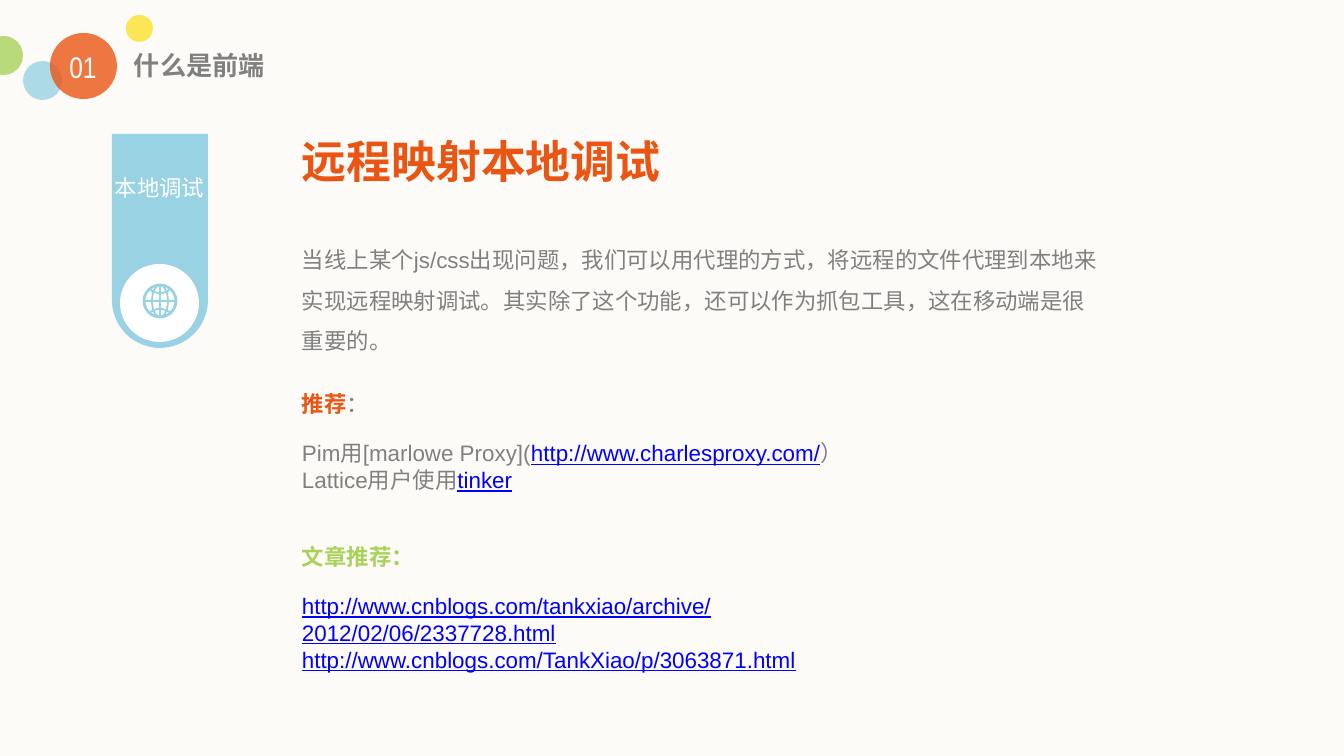
import math

from lxml import etree
from pptx import Presentation
from pptx import util as u
from pptx.dml.color import RGBColor
from pptx.enum import shapes, text
from pptx.oxml.ns import qn

PX = 914400 / 134.4  # EMU in one px
CJK = "Noto Sans CJK SC"
COLORS = {
    "paper": "FCFBF7", "white": "FFFFFF", "grey": "808080", "link": "0000FF",
    "blue": "98D2E3", "orange": "EA5514", "green": "A9D25A", "yellow": "FBE22D",
}


def emu(px):
    return u.Emu(round(px * PX))


def color(name):
    return RGBColor.from_string(COLORS[name])


def arc(cx, cy, radius, start, end, steps=48):
    """Points on a circle, angles in degrees, clockwise from the right."""
    angles = [math.radians(start + (end - start) * i / steps) for i in range(steps + 1)]
    return [(cx + radius * math.cos(a), cy + radius * math.sin(a)) for a in angles]


class SlideBuilder:
    def __init__(self, slide):
        self.slide = slide
        slide.background.fill.solid()
        slide.background.fill.fore_color.rgb = color("paper")

    def paint(self, shape, fill=None, line=None, weight=1, alpha=None):
        shape.shadow.inherit = False
        if fill:
            shape.fill.solid()
            shape.fill.fore_color.rgb = color(fill)
        else:
            shape.fill.background()
        if line:
            shape.line.color.rgb = color(line)
            shape.line.width = u.Pt(weight)
        else:
            shape.line.fill.background()
        if alpha:
            tint = shape._element.spPr.find(qn("a:solidFill"))[0]
            etree.SubElement(tint, qn("a:alpha"), val=str(alpha * 1000))

    def ellipse(self, left, top, width, height, **style):
        oval = self.slide.shapes.add_shape(
            shapes.MSO_SHAPE.OVAL, emu(left), emu(top), emu(width), emu(height))
        self.paint(oval, **style)

    def outline(self, points, close=True, **style):
        points = [(emu(x), emu(y)) for x, y in points]
        builder = self.slide.shapes.build_freeform(*points[0])
        builder.add_line_segments(points[1:], close=close)
        self.paint(builder.convert_to_shape(), **style)

    def line(self, x1, y1, x2, y2, name, weight=1):
        rule = self.slide.shapes.add_connector(
            shapes.MSO_CONNECTOR.STRAIGHT, emu(x1), emu(y1), emu(x2), emu(y2))
        rule.line.color.rgb = color(name)
        rule.line.width = u.Pt(weight)
        etree.SubElement(rule._element.spPr, qn("a:effectLst"))

    def span(self, para, words, size, font, name, bold=False, underline=False):
        span = para.add_run()
        span.text = words
        span.font.name = font
        span.font.size = u.Pt(size)
        span.font.bold = bold
        span.font.underline = underline
        span.font.color.rgb = color(name)
        etree.SubElement(span._r.get_or_add_rPr(), qn("a:ea"), typeface=CJK)

    def fill_box(self, box, paras, insets=(0, 0, 0, 0), align="LEFT", spacing=None,
                 heading_gap=0, wrap=True):
        frame = box.text_frame
        frame.word_wrap = wrap
        frame.auto_size = text.MSO_AUTO_SIZE.SHAPE_TO_FIT_TEXT
        frame.vertical_anchor = text.MSO_ANCHOR.TOP
        (frame.margin_left, frame.margin_top,
         frame.margin_right, frame.margin_bottom) = [emu(inset) for inset in insets]
        for i, spans in enumerate(paras):
            para = frame.add_paragraph() if i else frame.paragraphs[0]
            para.alignment = text.PP_ALIGN[align]
            if spacing:
                para.line_spacing = spacing
            if heading_gap and i == 0:
                para.space_after = u.Pt(heading_gap)
            for span in spans:
                self.span(para, *span)

    def text(self, left, top, width, height, paras, **layout):
        box = self.slide.shapes.add_textbox(emu(left), emu(top), emu(width), emu(height))
        self.fill_box(box, paras, **layout)

    def title(self, left, top, width, height, paras):
        box = self.slide.shapes.title
        box.left, box.top, box.width, box.height = map(emu, (left, top, width, height))
        self.fill_box(box, paras)


def main():
    deck = Presentation()
    deck.slide_width, deck.slide_height = emu(1344), emu(756)
    page = SlideBuilder(deck.slides.add_slide(deck.slide_layouts[5]))

    # Blue banner with a round foot
    page.outline([(112, 134)] + arc(160, 300, 48, 180, 0) + [(208, 134)], fill="blue")
    page.ellipse(120, 264, 79, 78, fill="white")
    page.text(101, 167, 117, 42, [[("本地调试", 12, CJK, "white")]],
              insets=(13, 7, 13, 7), align="CENTER", wrap=False)

    # Globe: rim, meridians, equator and two parallels
    cx, cy, radius = 160, 301, 16
    page.ellipse(cx - radius, cy - radius, 2 * radius, 2 * radius, line="blue", weight=1.5)
    page.ellipse(cx - 8, cy - radius, 16, 2 * radius, line="blue")
    page.line(cx, cy - radius, cx, cy + radius, "blue")
    page.line(cx - radius, cy, cx + radius, cy, "blue")
    for side in (-1, 1):
        parallel = arc(cx, cy + side * 24, 16, -side * 45, -side * 135)
        page.outline(parallel, close=False, line="blue")

    # Corner bubbles with the chapter number
    for left, top, width, height, fill in [
        (126, 15, 27, 27, "yellow"), (-16, 36, 39, 39, "green"),
        (23, 61, 39, 39, "blue"), (50, 33, 67, 66, "orange"),
    ]:
        page.ellipse(left, top, width, height, fill=fill, alpha=80)
    page.text(59, 49, 48, 36, [[("01", 16, "Arial Narrow", "white")]], align="CENTER")
    page.title(134, 49, 409, 32, [[("什么是前端", 14, "Arial Narrow", "grey", True)]])

    # Heading and explanation
    page.text(302, 134, 363, 54, [[("远程映射本地调试", 24, "Calibri", "orange", True)]])
    page.text(302, 226, 814, 129, [[(
        "当线上某个js/css出现问题，我们可以用代理的方式，将远程的文件代理到本地"
        "来实现远程映射调试。其实除了这个功能，还可以作为抓包工具，这在移动端是"
        "很重要的。", 12, "Arial", "grey")]], insets=(0, 7, 13, 7), spacing=1.5)

    # Recommended tools
    plain = (12, "Arial", "grey")
    link = (12, "Arial", "link", False, True)
    page.text(302, 390, 648, 103, [
        [("推荐", 12, "Calibri", "orange", True), ("：", 12, CJK, "grey")],
        [("Pim用[marlowe Proxy](", *plain), ("http://www.charlesproxy.com/", *link),
         ("）", *plain)],
        [("Lattice用户使用", *plain), ("tinker", *link)],
    ], heading_gap=12)

    # Recommended articles
    page.text(302, 543, 648, 132, [
        [("文章推荐：", 12, "Calibri", "green", True)],
        [("http://www.cnblogs.com/tankxiao/archive/2012/02/06/2337728.html", *link)],
        [("http://www.cnblogs.com/TankXiao/p/3063871.html", *link)],
    ], heading_gap=12)

    deck.save("out.pptx")


if __name__ == "__main__":
    main()
